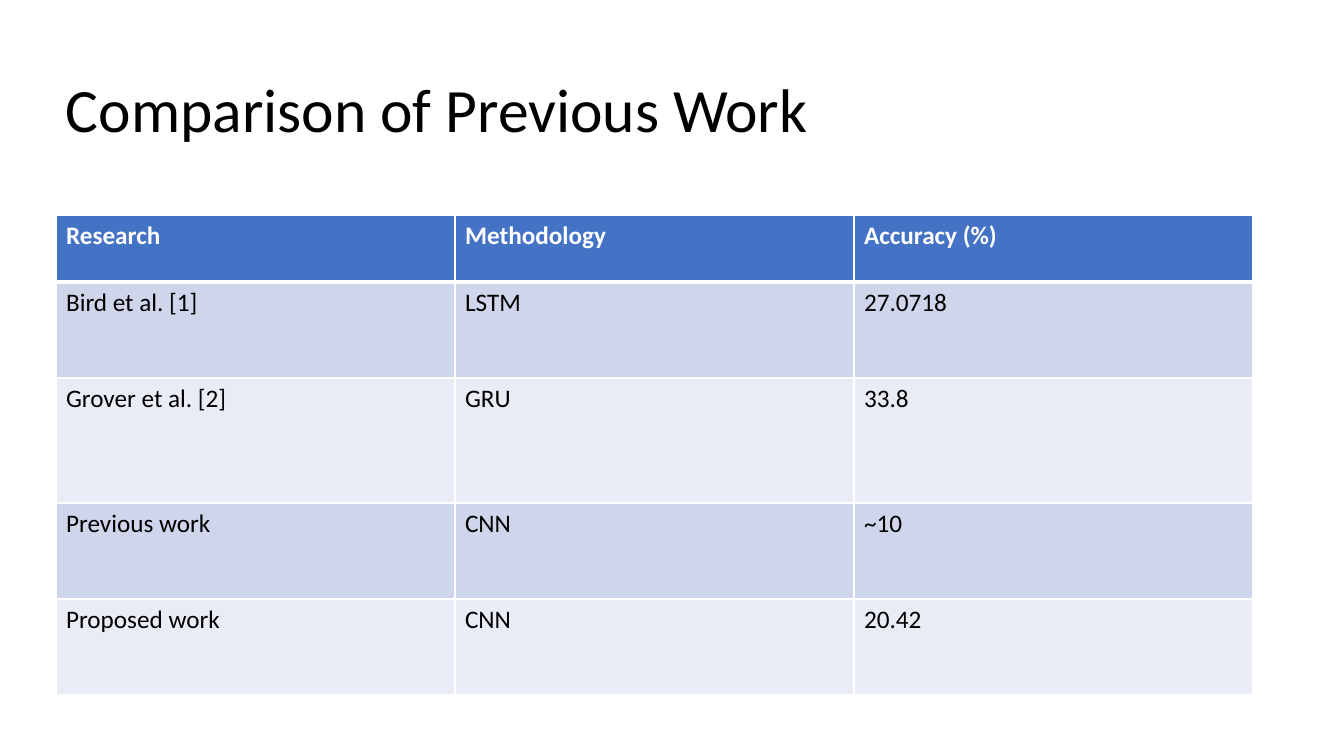
import pptx
import pptx.dml.color
import pptx.enum.text
import pptx.oxml.ns
import pptx.util
from lxml import etree

EMU_PER_PX = 914400 / 100.8
FONT = "Calibri"
BLACK = pptx.dml.color.RGBColor(0x00, 0x00, 0x00)
WHITE = pptx.dml.color.RGBColor(0xFF, 0xFF, 0xFF)
HEADER_BLUE = pptx.dml.color.RGBColor(0x44, 0x72, 0xC4)
BAND_DARK = pptx.dml.color.RGBColor(0xCF, 0xD5, 0xEA)
BAND_LIGHT = pptx.dml.color.RGBColor(0xE9, 0xEB, 0xF5)

COLUMN_WIDTH = 399
ROW_HEIGHTS = [67, 96, 125, 96, 96]
RESULTS = [
    ["Research", "Methodology", "Accuracy (%)"],
    ["Bird et al. [1]", "LSTM", "27.0718"],
    ["Grover et al. [2]", "GRU", "33.8"],
    ["Previous work", "CNN", "~10"],
    ["Proposed work", "CNN", "20.42"],
]


def px(length):
    return pptx.util.Emu(round(length * EMU_PER_PX))


def add_run(p, text, size, color, bold=False):
    r = p.add_run()
    r.text = text
    r.font.name = FONT
    r.font.size = pptx.util.Pt(size)
    r.font.bold = bold
    r.font.color.rgb = color


def add_title(s, text, left, top, width, height):
    sp = s.shapes.add_textbox(px(left), px(top), px(width), px(height))
    tf = sp.text_frame
    tf.word_wrap = True
    tf.vertical_anchor = pptx.enum.text.MSO_ANCHOR.MIDDLE
    p = tf.paragraphs[0]
    p.line_spacing = 0.9
    add_run(p, text, 44, BLACK)


def set_borders(cell, color, **widths):
    """Draw cell borders; widths maps L, R, T and B to points, in that order."""
    tc_pr = cell._tc.get_or_add_tcPr()
    qn = pptx.oxml.ns.qn
    for side, width in widths.items():
        ln = etree.SubElement(tc_pr, qn(f"a:ln{side}"), w=str(pptx.util.Pt(width)))
        fill = etree.SubElement(ln, qn("a:solidFill"))
        etree.SubElement(fill, qn("a:srgbClr"), val=str(color))


def fill_cell(cell, text, row):
    is_header = row == 0
    set_borders(cell, WHITE, L=1, R=1, T=3 if row == 1 else 1, B=3 if is_header else 1)
    cell.fill.solid()
    band = BAND_DARK if row % 2 else BAND_LIGHT
    cell.fill.fore_color.rgb = HEADER_BLUE if is_header else band
    add_run(cell.text_frame.paragraphs[0], text, 18,
            WHITE if is_header else BLACK, bold=is_header)


def add_results_table(s, left, top):
    columns = len(RESULTS[0])
    frame = s.shapes.add_table(len(RESULTS), columns, px(left), px(top),
                               px(COLUMN_WIDTH * columns), px(sum(ROW_HEIGHTS)))
    table = frame.table
    table.horz_banding = False
    for column in table.columns:
        column.width = px(COLUMN_WIDTH)
    for row, (height, texts) in enumerate(zip(ROW_HEIGHTS, RESULTS)):
        table.rows[row].height = px(height)
        for column, text in enumerate(texts):
            fill_cell(table.cell(row, column), text, row)


def main():
    prs = pptx.Presentation()
    prs.slide_width = px(1344)
    prs.slide_height = px(756)
    s = prs.slides.add_slide(prs.slide_layouts[6])
    add_title(s, "Comparison of Previous Work", 56, 40, 1159, 146)
    add_results_table(s, 56, 215)
    prs.save("out.pptx")


if __name__ == "__main__":
    main()
